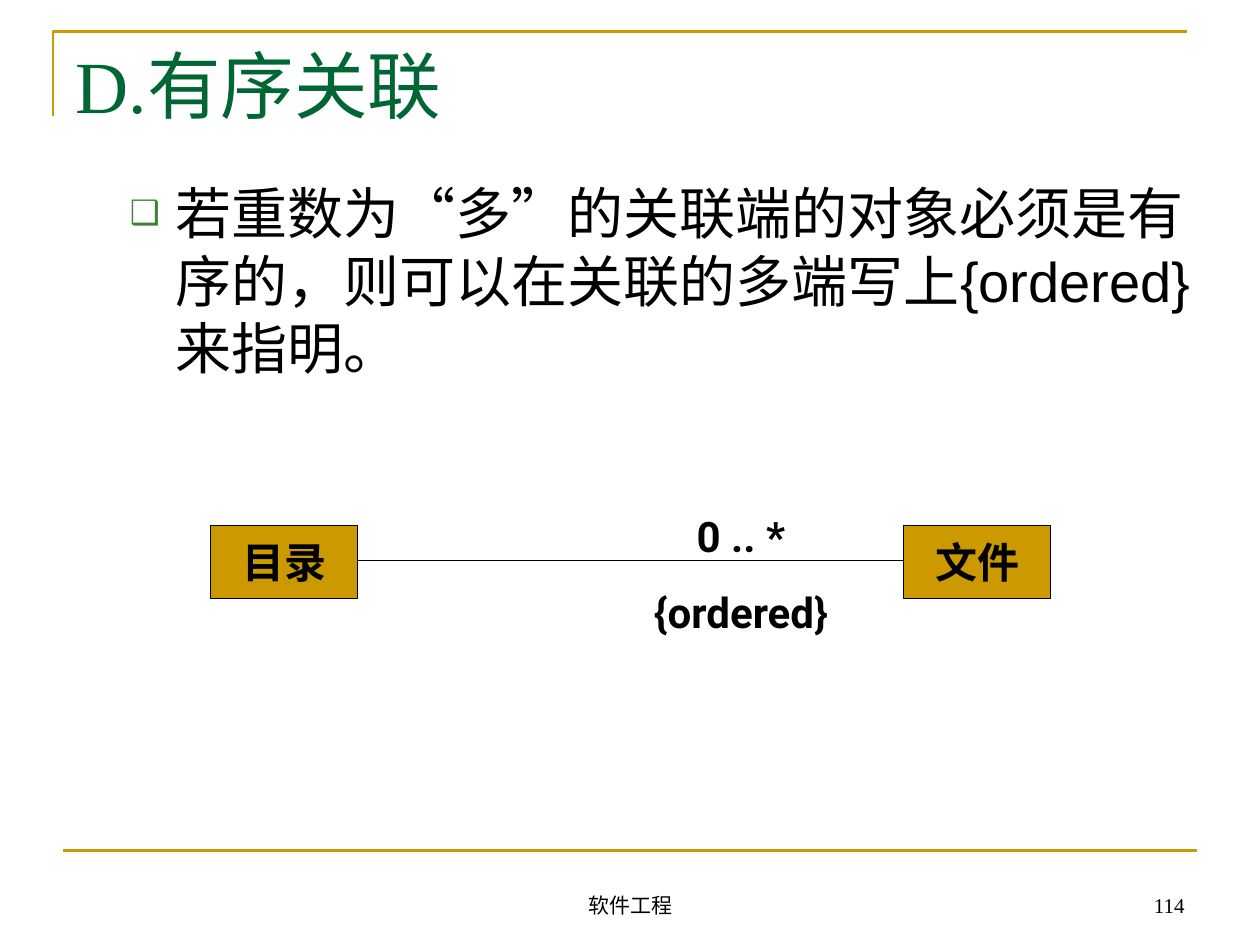
from lxml import etree
from pptx import Presentation
from pptx.dml.color import RGBColor
from pptx.enum.shapes import MSO_CONNECTOR, MSO_SHAPE
from pptx.enum.text import MSO_ANCHOR, MSO_AUTO_SIZE, PP_ALIGN
from pptx.oxml.ns import qn
from pptx.util import Inches, Pt

COLORS = {"gold": "CC9900", "green": "006633", "bullet": "3B812F", "black": "000000"}


def color(name):
    return RGBColor.from_string(COLORS[name])


def place(shape, *area):
    shape.left, shape.top, shape.width, shape.height = map(Inches, area)


def add_bullet(para):
    para.level = 1
    props = para._p.get_or_add_pPr()
    props.set("marL", str(Inches(0.73)))
    props.set("indent", str(Inches(-0.36)))
    tint = etree.SubElement(props, qn("a:buClr"))
    etree.SubElement(tint, qn("a:srgbClr"), val=COLORS["bullet"])
    etree.SubElement(props, qn("a:buSzPct"), val="60000")
    etree.SubElement(props, qn("a:buChar"), char="❑")


def write(shape, lines, face, size, tint="black", align=PP_ALIGN.LEFT,
          anchor=MSO_ANCHOR.TOP, bold=False, wrap=True, gap=0, bullet=False):
    """Fill a shape with paragraphs of one style, gap points apart."""
    frame = shape.text_frame
    frame.text = "\n".join(lines)
    frame.word_wrap = wrap
    frame.auto_size = MSO_AUTO_SIZE.NONE
    frame.vertical_anchor = anchor
    for i, para in enumerate(frame.paragraphs):
        if bullet:
            add_bullet(para)
        para.alignment = align
        para.space_before = Pt(gap if i else 0)
        font = para.font
        font.name, font.size, font.bold = face, Pt(size), bold
        font.color.rgb = color(tint)


def add_text(slide, area, lines, face, size, **style):
    box = slide.shapes.add_textbox(*map(Inches, area))
    write(box, lines, face, size, **style)


def add_line(slide, start, end, tint, width):
    ends = map(Inches, (*start, *end))
    line = slide.shapes.add_connector(MSO_CONNECTOR.STRAIGHT, *ends)
    line.line.color.rgb = color(tint)
    line.line.width = Pt(width)
    etree.SubElement(line._element.spPr, qn("a:effectLst"))


def add_frame(slide):
    """Draw the corner line around the title."""
    pen = slide.shapes.build_freeform(Inches(0.42), Inches(0.92), scale=1.0)
    points = [(Inches(0.42), Inches(0.25)), (Inches(9.42), Inches(0.25))]
    pen.add_line_segments(points, close=False)
    frame = pen.convert_to_shape()
    frame.shadow.inherit = False
    frame.fill.background()
    frame.line.color.rgb = color("gold")
    frame.line.width = Pt(1.5)


def add_class(slide, left, name):
    box = slide.shapes.add_shape(
        MSO_SHAPE.RECTANGLE, *map(Inches, (left, 4.17, 1.17, 0.58)))
    box.shadow.inherit = False
    box.fill.solid()
    box.fill.fore_color.rgb = color("gold")
    box.line.color.rgb = color("black")
    box.line.width = Pt(0.75)
    write(box, [name], "Roboto", 24, align=PP_ALIGN.CENTER,
          anchor=MSO_ANCHOR.MIDDLE, bold=True, wrap=False)


def add_body(slide):
    body = slide.placeholders[1]
    place(body, 0.56, 1.37, 9.23, 1.88)
    text = "若重数为“多”的关联端的对象必须是有序的，则可以在关联的多端写上{ordered}来指明。"
    write(body, [text], "Arial", 32, bullet=True)


def main():
    deck = Presentation()
    deck.slide_width, deck.slide_height = Inches(10), Inches(7.5)
    slide = deck.slides.add_slide(deck.slide_layouts[1])

    add_frame(slide)
    add_line(slide, (0.5, 6.75), (9.5, 6.75), "gold", 1.5)

    place(slide.shapes.title, 0.5, 0.27, 9, 0.97)
    write(slide.shapes.title, ["D.有序关联"], "Times New Roman", 42, tint="green")
    add_body(slide)

    add_class(slide, 1.67, "目录")
    add_class(slide, 7.17, "文件")
    add_line(slide, (2.83, 4.45), (7.17, 4.45), "black", 0.75)
    add_text(slide, (4.92, 4, 1.92, 1.11), ["0 .. *", "{ordered}"], "Roboto", 24,
             align=PP_ALIGN.CENTER, bold=True, gap=15)

    for area, text, align in (
        ((3.42, 6.83, 3.17, 0.5), "软件工程", PP_ALIGN.CENTER),
        ((7.17, 6.83, 2.33, 0.5), "114", PP_ALIGN.RIGHT),
    ):
        add_text(slide, area, [text], "Times New Roman", 12,
                 align=align, anchor=MSO_ANCHOR.BOTTOM)

    deck.save("out.pptx")


if __name__ == "__main__":
    main()
